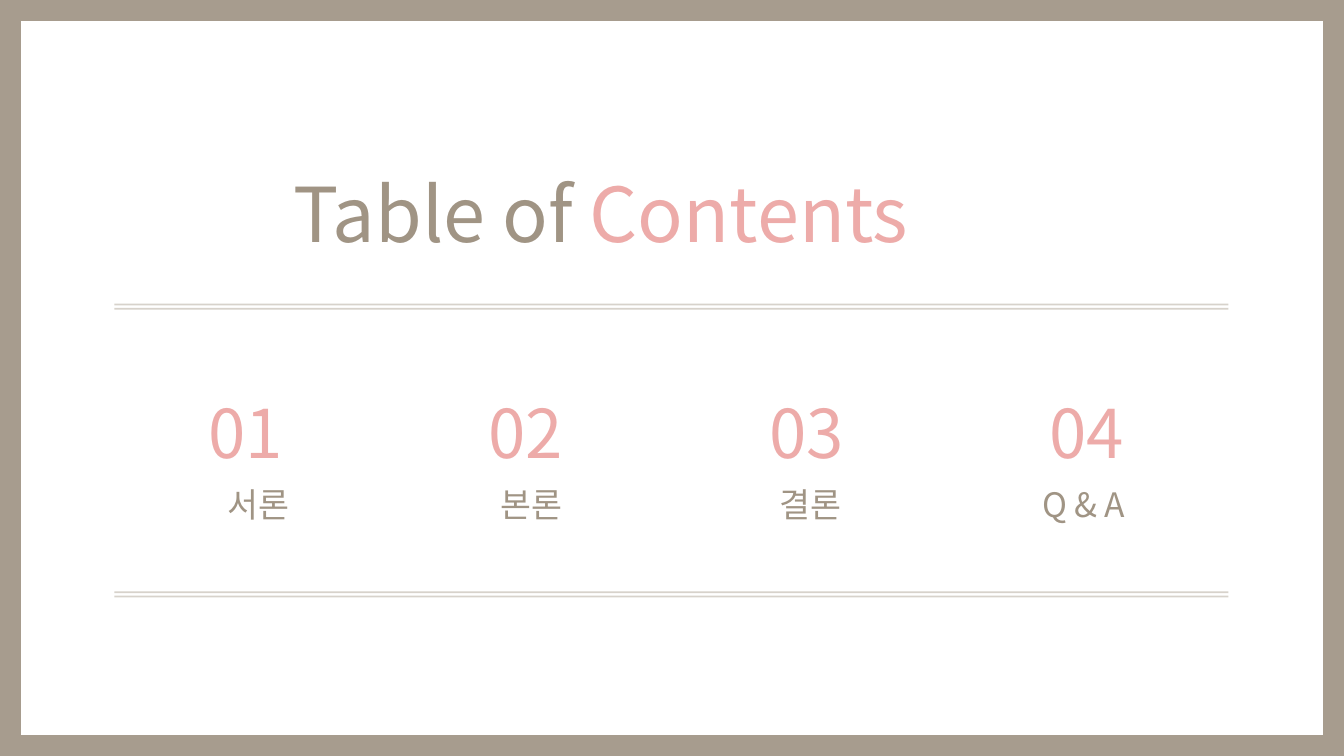
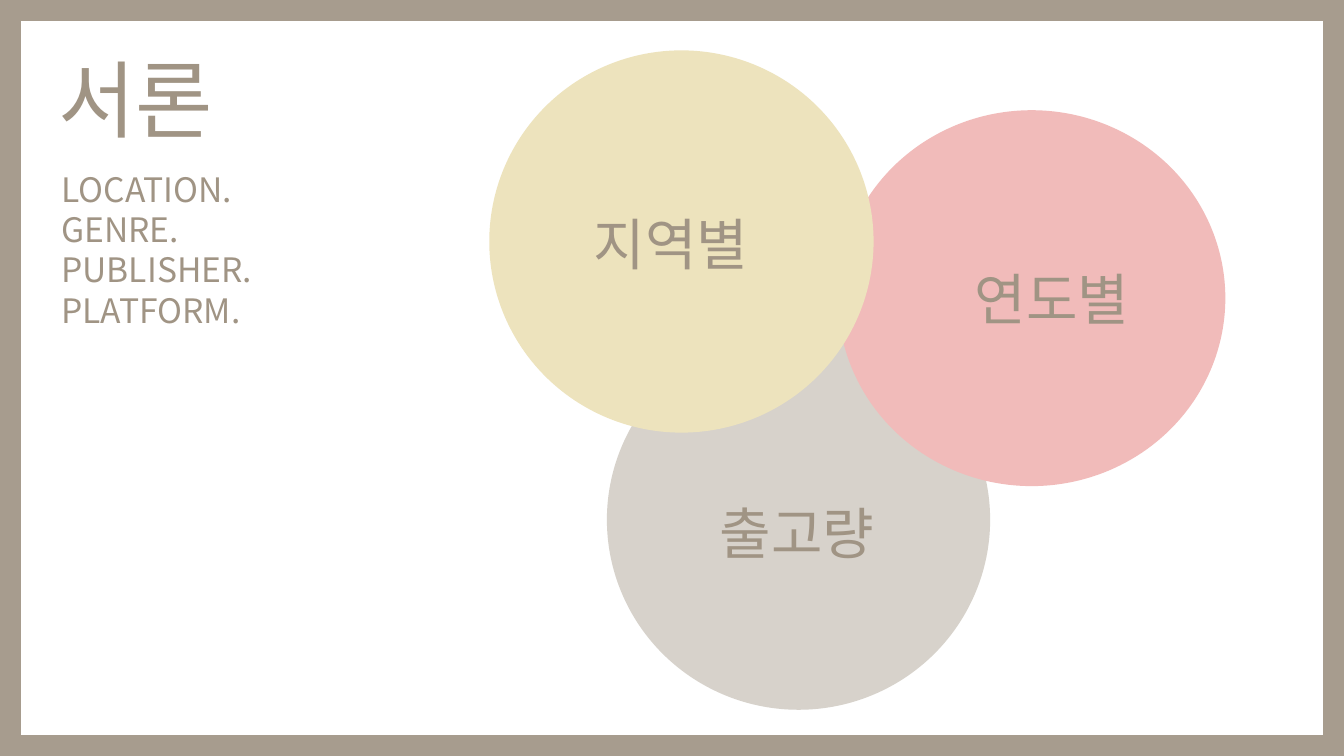
from lxml.etree import SubElement
from pptx import Presentation
from pptx.dml.color import RGBColor
from pptx.enum.shapes import MSO_CONNECTOR, MSO_SHAPE
from pptx.enum.text import MSO_ANCHOR, MSO_AUTO_SIZE, PP_ALIGN
from pptx.oxml.ns import qn
from pptx.util import Emu, Pt


class Theme:
    font = "Noto Sans CJK KR"
    white = RGBColor.from_string("FFFFFF")
    frame = RGBColor.from_string("A79C8E")
    brown = RGBColor.from_string("A09484")
    rose = RGBColor.from_string("EDABA9")
    gray = RGBColor.from_string("D7D2CB")
    pink = RGBColor.from_string("F1BBBA")
    cream = RGBColor.from_string("EDE3BD")
    cover, head, number, label, body = 54, 60, 48, 40, 24
    border, rule = 30, 1.25


WIDE, HIGH = 1280, 720


def px(*sizes):
    return [Emu(size * 9525) for size in sizes]


def write(shape, lines, size, color=Theme.brown):
    frame = shape.text_frame
    frame.text = "\n".join(lines)
    frame.word_wrap = True
    frame.auto_size = MSO_AUTO_SIZE.NONE
    frame.vertical_anchor = MSO_ANCHOR.TOP
    for para in frame.paragraphs:
        para.alignment = PP_ALIGN.LEFT
        para.font.size = Pt(size)
        para.font.color.rgb = color
        para.font.name = Theme.font
        props = para._p.get_or_add_pPr().get_or_add_defRPr()
        SubElement(props, qn("a:ea"), typeface=Theme.font)


deck = Presentation()
deck.slide_width, deck.slide_height = px(WIDE, HIGH)

slides = []
for text, size, place in (
    ("Table of ", Theme.cover, (270, 154, 654, 97)),
    ("서론", Theme.head, (46, 40, 169, 107)),
):
    slide = deck.slides.add_slide(deck.slide_layouts[5])
    slide.background.fill.solid()
    slide.background.fill.fore_color.rgb = Theme.white
    title = slide.shapes.title
    title.left, title.top, title.width, title.height = px(*place)
    write(title, [text], size)
    edge = slide.shapes.add_shape(MSO_SHAPE.RECTANGLE, *px(0, 0, WIDE, HIGH))
    edge.shadow.inherit = False
    edge.fill.background()
    edge.line.color.rgb = Theme.frame
    edge.line.width = Pt(Theme.border)
    slides.append(slide)

index, intro = slides

accent = index.shapes.title.text_frame.paragraphs[0].add_run()
accent.text = "Contents"
accent.font.color.rgb = Theme.rose

parts = (("서론", 207, 79), ("본론", 467, 79), ("결론", 733, 79), ("Q & A", 983, 118))
for step, (name, left, width) in enumerate(parts):
    box = index.shapes.add_textbox(*px(189 + 267 * step, 368, 100, 87))
    write(box, [f"{step + 1:02}"], Theme.number, Theme.rose)
    box = index.shapes.add_textbox(*px(left, 456, width, 48))
    write(box, [name], Theme.body)

for top in (290, 564):
    for y in (top, top + 4):
        rule = index.shapes.add_connector(MSO_CONNECTOR.STRAIGHT, *px(109, y, 1170, y))
        rule.line.color.rgb = Theme.brown
        rule.line.width = Pt(Theme.rule)
        tint = rule._element.spPr.find(".//" + qn("a:srgbClr"))
        SubElement(tint, qn("a:alpha"), val="42000")
        SubElement(rule._element.spPr, qn("a:effectLst"))

for color, place in (
    (Theme.gray, (578, 314, 365, 362)),
    (Theme.pink, (798, 105, 369, 358)),
    (Theme.cream, (466, 48, 366, 364)),
):
    disc = intro.shapes.add_shape(MSO_SHAPE.OVAL, *px(*place))
    disc.shadow.inherit = False
    disc.fill.solid()
    disc.fill.fore_color.rgb = color
    disc.line.fill.background()

for name, left, top in (("지역별", 556, 195), ("연도별", 919, 247), ("출고량", 676, 470)):
    write(intro.shapes.add_textbox(*px(left, top, 169, 74)), [name], Theme.label)

topics = ["LOCATION.", "GENRE.", "PUBLISHER.", "PLATFORM."]
write(intro.shapes.add_textbox(*px(49, 156, 317, 165)), topics, Theme.body)

deck.save("out.pptx")
